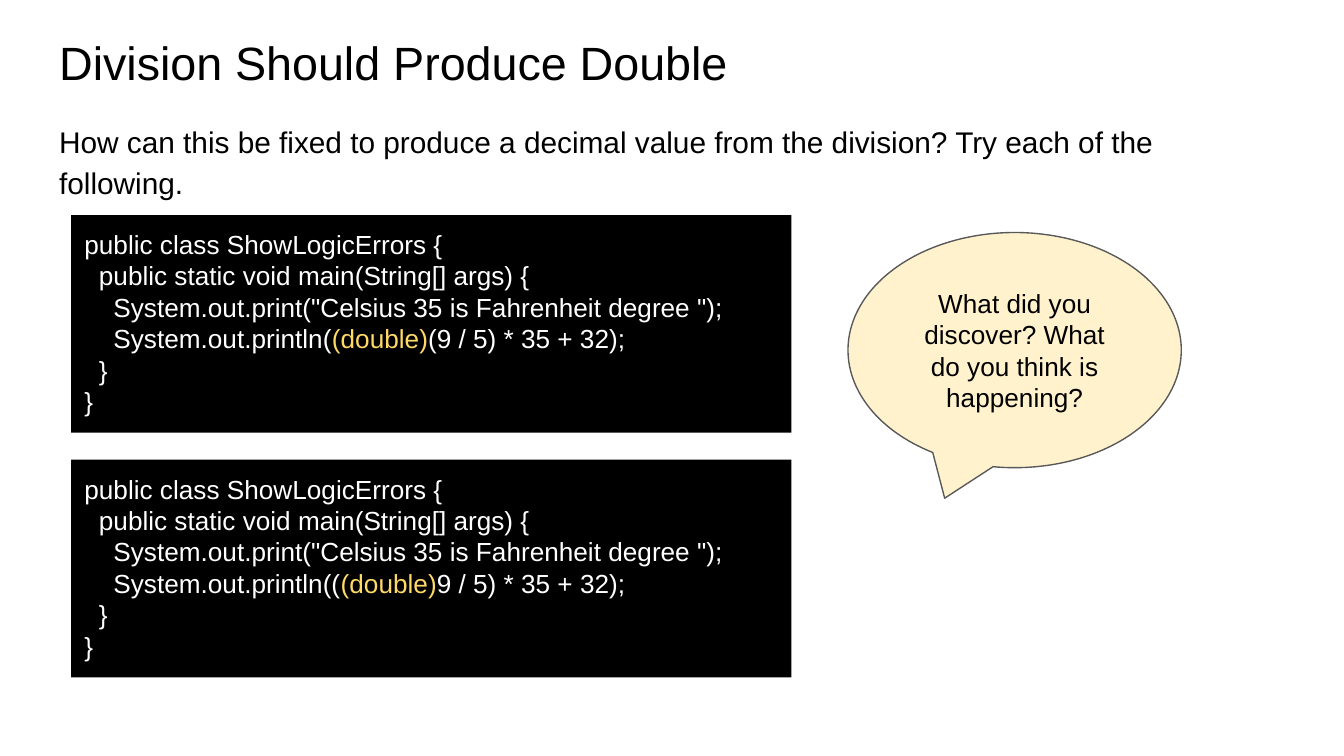
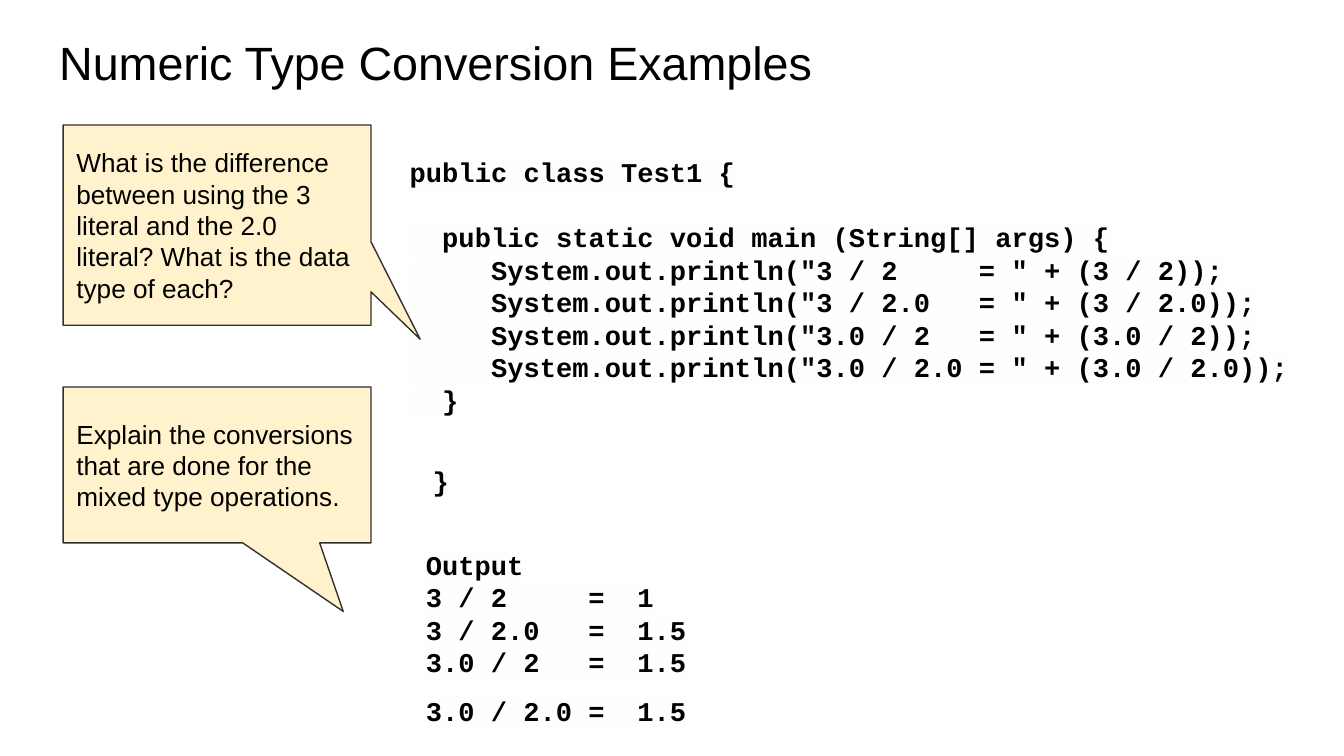
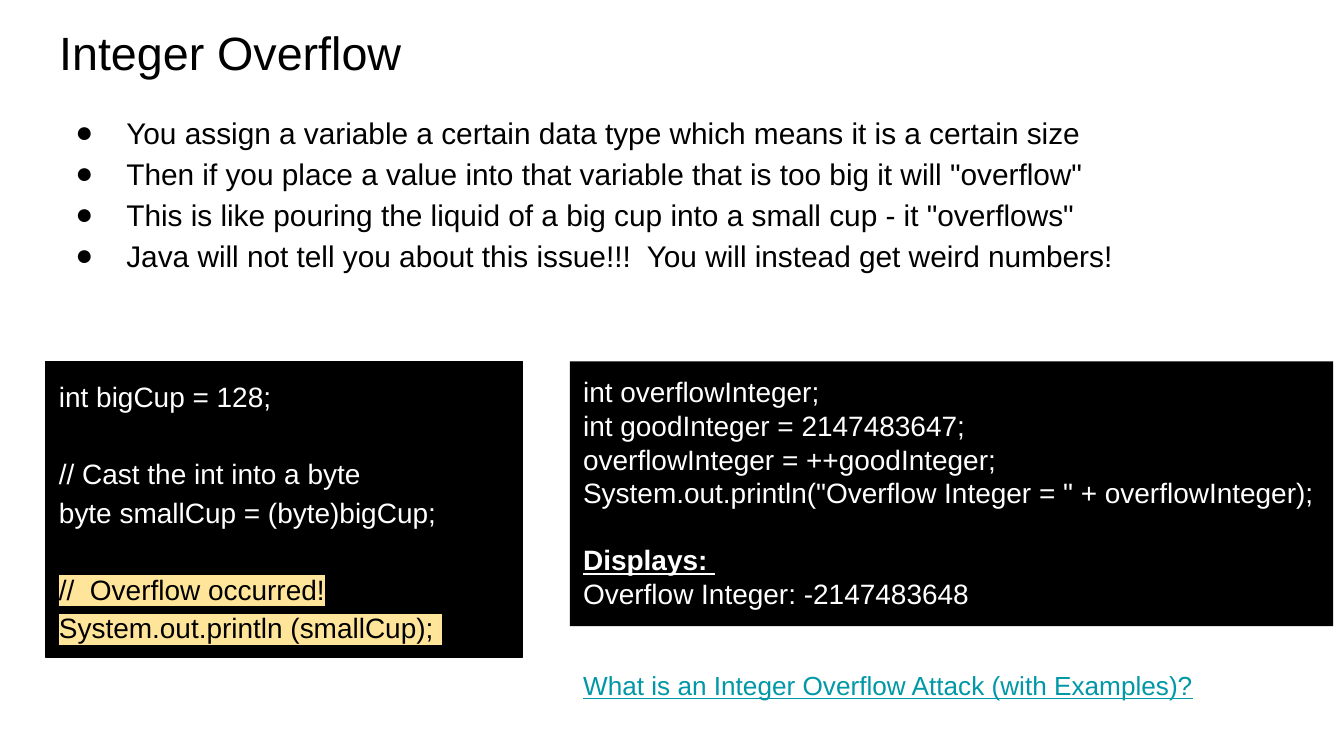
"""Build three slides on Java division, type conversion and overflow."""
from dataclasses import dataclass, field

from lxml import etree
from pptx import Presentation
from pptx.dml.color import RGBColor
from pptx.enum.shapes import MSO_SHAPE
from pptx.enum.text import MSO_ANCHOR, MSO_AUTO_SIZE, PP_ALIGN
from pptx.oxml.ns import qn
from pptx.util import Pt

PX = 9144
WIDE = 1000 * PX
HIGH = WIDE * 9 // 16
RECT = MSO_SHAPE.RECTANGLE
OVAL = MSO_SHAPE.OVAL_CALLOUT
WEDGE = MSO_SHAPE.ROUNDED_RECTANGULAR_CALLOUT
TOP, MIDDLE = MSO_ANCHOR.TOP, MSO_ANCHOR.MIDDLE
LEFT, CENTER = PP_ALIGN.LEFT, PP_ALIGN.CENTER
FIXED = MSO_AUTO_SIZE.NONE

COLORS = {
    "black": "000000",
    "white": "FFFFFF",
    "paper": "FEFEFC",
    "gold": "FFD966",
    "cream": "FFF2CC",
    "sand": "FFE599",
    "gray": "595959",
    "dark": "303030",
    "teal": "0097A7",
}

PLAIN = {"name": "Arial", "size": Pt(14), "color": "black"}
TITLE = PLAIN | {"size": Pt(25)}
BODY = PLAIN | {"size": Pt(16)}
CODE = PLAIN | {"color": "white"}
CUP = CODE | {"size": Pt(15)}
MONO = PLAIN | {"name": "Courier New", "size": Pt(14.5), "bold": True, "mark": "paper"}
LINK = PLAIN | {"color": "teal", "underline": True}
CAST = {"color": "gold"}
NOTE = {"color": "black", "mark": "sand"}
HEAD = {"bold": True, "underline": True}


@dataclass(frozen=True)
class Line:
    """One paragraph: runs of text and look, spacing format and indent."""
    runs: tuple
    form: dict = field(default_factory=dict)
    left: int = 0
    hang: int = 0
    mark: str = ""


@dataclass(frozen=True)
class Box:
    """One filled shape with its text."""
    at: tuple
    lines: list
    look: dict
    fill: str
    edge: str = ""
    kind: int = RECT
    adjust: tuple = ()
    anchor: int = TOP


def line(text: str, look: dict | None = None, **form) -> Line:
    """Make a line with a single run."""
    return Line(((text, look or {}),), form)


def rows(text: str) -> list:
    """Make one plain line for each row of text."""
    return [line(row) for row in text.split("\n")]


def tint(name: str) -> RGBColor:
    """Look up a colour."""
    return RGBColor.from_string(COLORS[name])


def style(run, look: dict) -> None:
    """Apply a look to a run."""
    for key, value in look.items():
        if key == "color":
            run.font.color.rgb = tint(value)
        elif key != "mark":
            setattr(run.font, key, value)
    if "mark" in look:
        glow = etree.Element(qn("a:highlight"))
        etree.SubElement(glow, qn("a:srgbClr"), val=COLORS[look["mark"]])
        run.font.fill._xPr.find(qn("a:solidFill")).addnext(glow)


def indent(para, item: Line) -> None:
    """Set the indent and bullet of a paragraph."""
    props = para._p.get_or_add_pPr()
    props.set("marL", str(item.left * PX))
    props.set("indent", str(item.hang * PX))
    if item.mark:
        tone = etree.SubElement(props, qn("a:buClr"))
        etree.SubElement(tone, qn("a:srgbClr"), val=COLORS["black"])
        etree.SubElement(props, qn("a:buChar"), char=item.mark)
    else:
        etree.SubElement(props, qn("a:buNone"))


def write(shape, lines: list, look: dict, anchor: int = TOP) -> None:
    """Fill the text frame of a shape."""
    frame = shape.text_frame
    form = {"word_wrap": True, "auto_size": FIXED, "vertical_anchor": anchor}
    form |= {f"margin_{side}": 10 * PX for side in ("left", "top", "right", "bottom")}
    for key, value in form.items():
        setattr(frame, key, value)
    for index, item in enumerate(lines):
        para = frame.add_paragraph() if index else frame.paragraphs[0]
        indent(para, item)
        base = {"alignment": LEFT, "space_before": Pt(0), "space_after": Pt(0), "line_spacing": 1.0}
        for key, value in (base | item.form).items():
            setattr(para, key, value)
        for text, extra in item.runs:
            run = para.add_run()
            run.text = text
            style(run, look | extra)


def place(shape, at: tuple) -> None:
    """Move a shape to its px frame."""
    for key, value in zip(("left", "top", "width", "height"), at):
        setattr(shape, key, value * PX)


def draw(slide, box: Box) -> None:
    """Draw a box."""
    shape = slide.shapes.add_shape(box.kind, *(size * PX for size in box.at))
    shape.shadow.inherit = False
    shape.fill.solid()
    shape.fill.fore_color.rgb = tint(box.fill)
    if box.edge:
        shape.line.color.rgb = tint(box.edge)
        shape.line.width = Pt(0.75)
    else:
        shape.line.fill.background()
    for index, value in enumerate(box.adjust):
        shape.adjustments[index] = value
    write(shape, box.lines, box.look, box.anchor)


def start(deck, title: str, body: list, top: int = 15):
    """Add a slide with its title and optional body."""
    slide = deck.slides.add_slide(deck.slide_layouts[1 if body else 5])
    place(slide.shapes.title, (34, top, 932, 63))
    write(slide.shapes.title, [line(title)], TITLE)
    if body:
        place(slide.placeholders[1], (34, top + 63, 932, 420))
        write(slide.placeholders[1], body, BODY)
    return slide


def divide(deck) -> None:
    """Build the division slide."""
    ask = "How can this be fixed to produce a decimal value from the division? Try each of the following."
    slide = start(deck, "Division Should Produce Double",
                  [line(ask, line_spacing=1.15, space_after=Pt(12))])
    head = rows('public class ShowLogicErrors {\n'
                '  public static void main(String[] args) {\n'
                '    System.out.print("Celsius 35 is Fahrenheit degree ");')
    tries = (("(", "(9 / 5) * 35 + 32);"), ("((", "9 / 5) * 35 + 32);"))
    for index, (lead, rest) in enumerate(tries):
        call = Line((("    System.out.println" + lead, {}), ("(double)", CAST), (rest, {})))
        draw(slide, Box((53, 160 + 182 * index, 536, 162),
                        head + [call] + rows("  }\n}"), CODE, "black"))
    talk = line("What did you discover? What do you think is happening?", alignment=CENTER)
    draw(slide, Box((631, 173, 248, 175), [talk], PLAIN, "cream", "gray",
                    OVAL, (-0.21, 0.63), MIDDLE))


def convert(deck) -> None:
    """Build the type conversion slide."""
    slide = start(deck, "Numeric Type Conversion Examples", [])
    wide = {"line_spacing": 1.5, "space_after": Pt(16)}
    gap = {"space_before": Pt(17.4)}
    pairs = ("3 / 2", "3 / 2.0", "3.0 / 2", "3.0 / 2.0")
    calls = [line(f'     System.out.println("{pair:<9} = " + ({pair}));') for pair in pairs]
    code = [line("public class Test1 {"),
            line("  public static void main (String[] args) {", **gap),
            *calls, line("  }"),
            Line((("}", {}),), wide | gap, 17)]
    draw(slide, Box((295, 106, 685, 264), code, MONO, "white"))
    sums = [f"{pair:<9} =  {value}" for pair, value in zip(pairs, ("1", "1.5", "1.5", "1.5"))]
    out = [line("Output"), *map(line, sums[:-1]), line(sums[-1], **wide)]
    draw(slide, Box((307, 398, 631, 142), out, MONO, "white"))
    asks = (
        (288, 116, (0.41, 0.94, 0),
         "Explain the conversions that are done for the mixed type operations."),
        (93, 149, (0.66, 0.57, 0),
         "What is the difference between using the 3 literal and the 2.0 literal? "
         "What is the data type of each?"),
    )
    for top, high, tip, text in asks:
        draw(slide, Box((47, top, 229, high), [line(text)], PLAIN, "cream", "dark",
                        WEDGE, tip, MIDDLE))


def overflow(deck) -> None:
    """Build the overflow slide."""
    facts = (
        "You assign a variable a certain data type which means it is a certain size",
        'Then if you place a value into that variable that is too big it will "overflow"',
        'This is like pouring the liquid of a big cup into a small cup - it "overflows"',
        "Java will not tell you about this issue!!!  You will instead get weird numbers!",
    )
    loose = {"line_spacing": 1.15}
    gap = loose | {"space_before": Pt(20.5)}
    slide = start(deck, "Integer Overflow",
                  [Line(((fact, {}),), loose, 50, -38, "●") for fact in facts], 8)
    cups = [line("int bigCup = 128;", **loose),
            line("// Cast the int into a byte", **gap),
            line("byte smallCup = (byte)bigCup;", **loose),
            line("//  Overflow occurred!", NOTE, **gap),
            line("System.out.println (smallCup); ", NOTE, **loose)]
    draw(slide, Box((34, 269, 355, 220), cups, CUP, "black", "black"))
    code = rows('int overflowInteger;\n'
                'int goodInteger = 2147483647;\n'
                'overflowInteger = ++goodInteger;\n'
                'System.out.println("Overflow Integer = " + overflowInteger);')
    code += [line("Displays: ", HEAD, space_before=Pt(18)),
             line("Overflow Integer: -2147483648")]
    draw(slide, Box((424, 269, 568, 197), code, CUP, "black"))
    link = slide.shapes.add_textbox(*(size * PX for size in (424, 488, 494, 44)))
    write(link, [line("What is an Integer Overflow Attack (with Examples)?")], LINK)


def main() -> None:
    """Build and save the deck."""
    deck = Presentation()
    deck.slide_width, deck.slide_height = WIDE, HIGH
    for build in (divide, convert, overflow):
        build(deck)
    deck.save("out.pptx")


if __name__ == "__main__":
    main()
